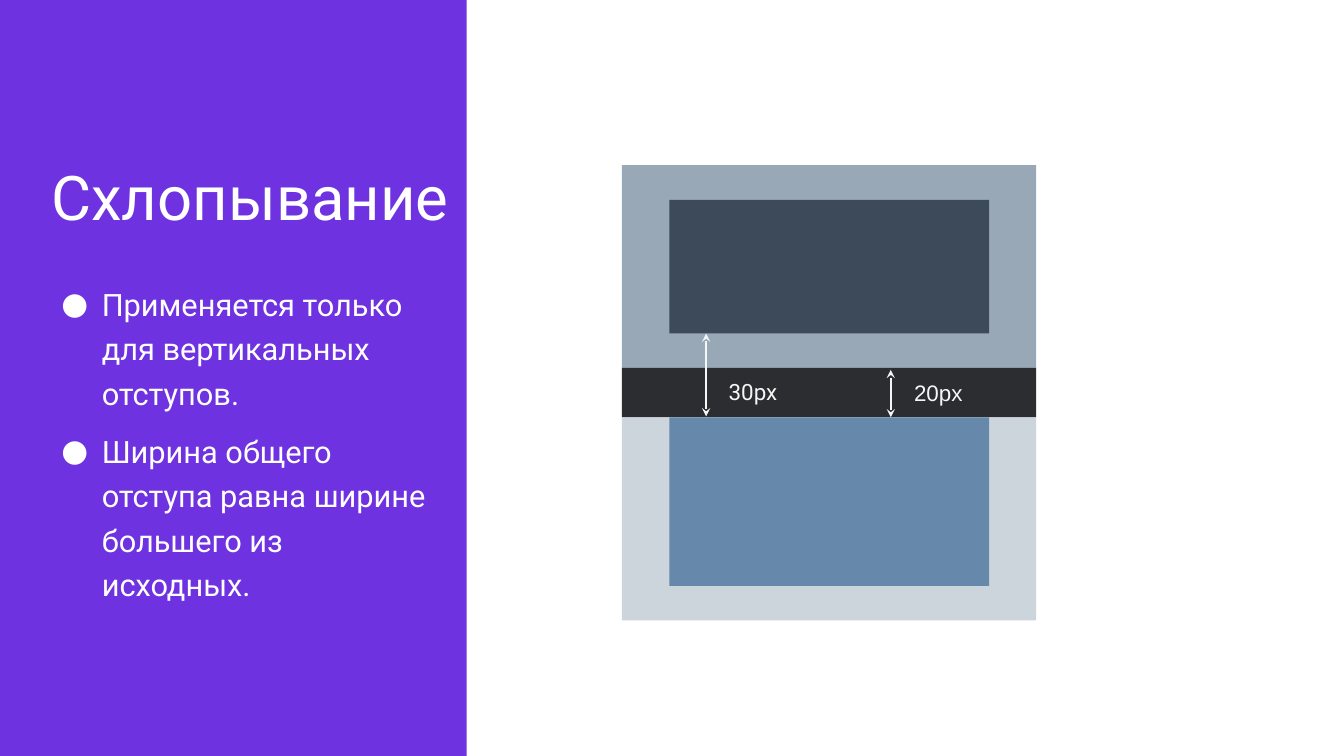
from lxml import etree
from pptx import Presentation
from pptx.dml.color import RGBColor
from pptx.enum import shapes, text
from pptx.oxml import ns
from pptx.util import Pt

COLORS = {
    "panel": "6E32E0",
    "white": "FFFFFF",
    "label": "F3F7F5",
    "upper_margin": "99A8B7",
    "upper_block": "3C4A5A",
    "overlap": "2C2D30",
    "lower_margin": "CCD4DC",
    "lower_block": "6588AB",
}


def add_box(left, top, width, height, color):
    shape = slide.shapes.add_shape(
        shapes.MSO_SHAPE.RECTANGLE, Pt(left), Pt(top), Pt(width), Pt(height))
    shape.shadow.inherit = False
    shape.fill.solid()
    shape.fill.fore_color.rgb = RGBColor.from_string(COLORS[color])
    shape.line.fill.background()
    return shape


def add_text(paragraph, content, size, color, font="Roboto"):
    run = paragraph.add_run()
    run.text = content
    run.font.size = Pt(size)
    run.font.name = font
    run.font.color.rgb = RGBColor.from_string(COLORS[color])


presentation = Presentation()
presentation.slide_width = Pt(960)
presentation.slide_height = Pt(540)
slide = presentation.slides.add_slide(presentation.slide_layouts[1])
title = slide.shapes.title
body = slide.placeholders[1]

panel = add_box(0, 0, 333.4, 540, "panel")
title.element.addprevious(panel.element)

title.left, title.top, title.width, title.height = Pt(29.5), Pt(15.1), Pt(301), Pt(155.5)
title.text_frame.auto_size = text.MSO_AUTO_SIZE.NONE
title.text_frame.vertical_anchor = text.MSO_ANCHOR.BOTTOM
heading = title.text_frame.paragraphs[0]
heading.alignment = text.PP_ALIGN.LEFT
heading.line_spacing = 0.9
add_text(heading, "Схлопывание", 44, "white")

body.left, body.top, body.width, body.height = Pt(29.5), Pt(186.5), Pt(288), Pt(256.3)
body.text_frame.auto_size = text.MSO_AUTO_SIZE.NONE
body.text_frame.vertical_anchor = text.MSO_ANCHOR.MIDDLE
rules = [
    "Применяется только для вертикальных отступов.",
    "Ширина общего отступа равна ширине большего из исходных.",
]
for index, rule in enumerate(rules):
    paragraph = body.text_frame.add_paragraph() if index else body.text_frame.paragraphs[0]
    paragraph.line_spacing = 1.2
    paragraph.space_before = Pt(10)
    add_text(paragraph, rule, 22, "white")
    properties = paragraph._p.get_or_add_pPr()
    properties.set("marL", str(Pt(36)))
    properties.set("indent", str(-Pt(28.8)))
    bullet_color = etree.SubElement(properties, ns.qn("a:buClr"))
    etree.SubElement(bullet_color, ns.qn("a:srgbClr"), val=COLORS["white"])
    etree.SubElement(properties, ns.qn("a:buFont"), typeface="Roboto")
    etree.SubElement(properties, ns.qn("a:buChar"), char="●")

outer_left, outer_width = 444.2, 296
inner_left, inner_width = 478.2, 228.4
add_box(outer_left, 118, outer_width, 145, "upper_margin")
add_box(inner_left, 142.7, inner_width, 95.5, "upper_block")
add_box(outer_left, 262.8, outer_width, 35.4, "overlap")
add_box(outer_left, 298.2, outer_width, 145, "lower_margin")
add_box(inner_left, 298.2, inner_width, 120.4, "lower_block")

for x, top, bottom in [(504.4, 238.3, 297.4), (636.3, 264.2, 298.1)]:
    arrow = slide.shapes.add_connector(
        shapes.MSO_CONNECTOR.STRAIGHT, Pt(x), Pt(top), Pt(x), Pt(bottom))
    arrow.line.width = Pt(1.5)
    arrow.line.color.rgb = RGBColor.from_string(COLORS["label"])
    line = arrow.line._get_or_add_ln()
    for end in ("a:headEnd", "a:tailEnd"):
        etree.SubElement(line, ns.qn(end), type="stealth")
    etree.SubElement(arrow.element.spPr, ns.qn("a:effectLst"))

labels = [
    ("30px", 513.4, 262.8, 72.7, text.MSO_ANCHOR.BOTTOM, "Roboto"),
    ("20px", 645.8, 263.5, 63.4, text.MSO_ANCHOR.TOP, "Arial"),
]
for content, left, top, width, anchor, font in labels:
    label = slide.shapes.add_textbox(Pt(left), Pt(top), Pt(width), Pt(33.8))
    frame = label.text_frame
    frame.word_wrap = True
    frame.vertical_anchor = anchor
    frame.margin_top = frame.margin_bottom = Pt(7.2)
    add_text(frame.paragraphs[0], content, 16, "label", font)

presentation.save("out.pptx")
